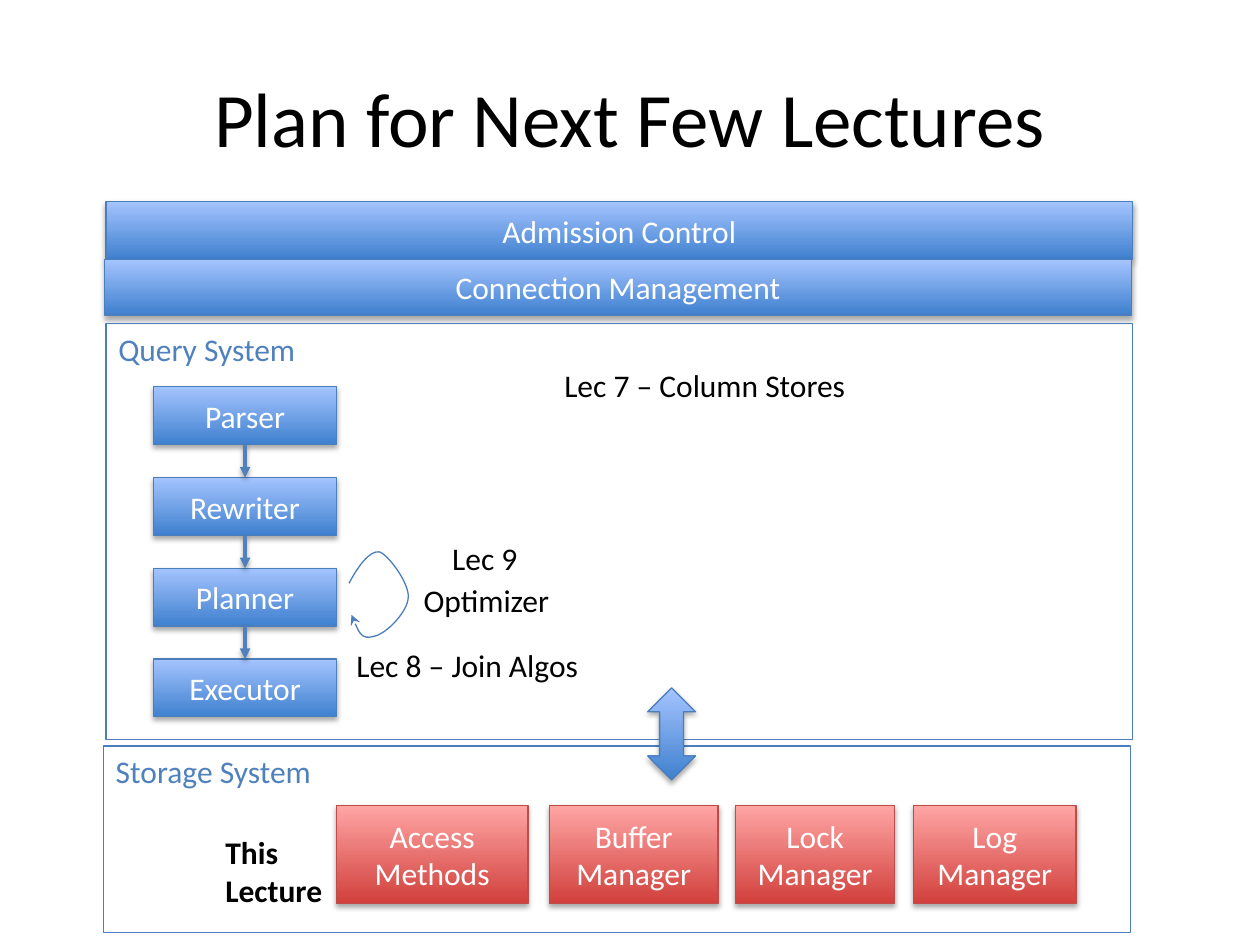
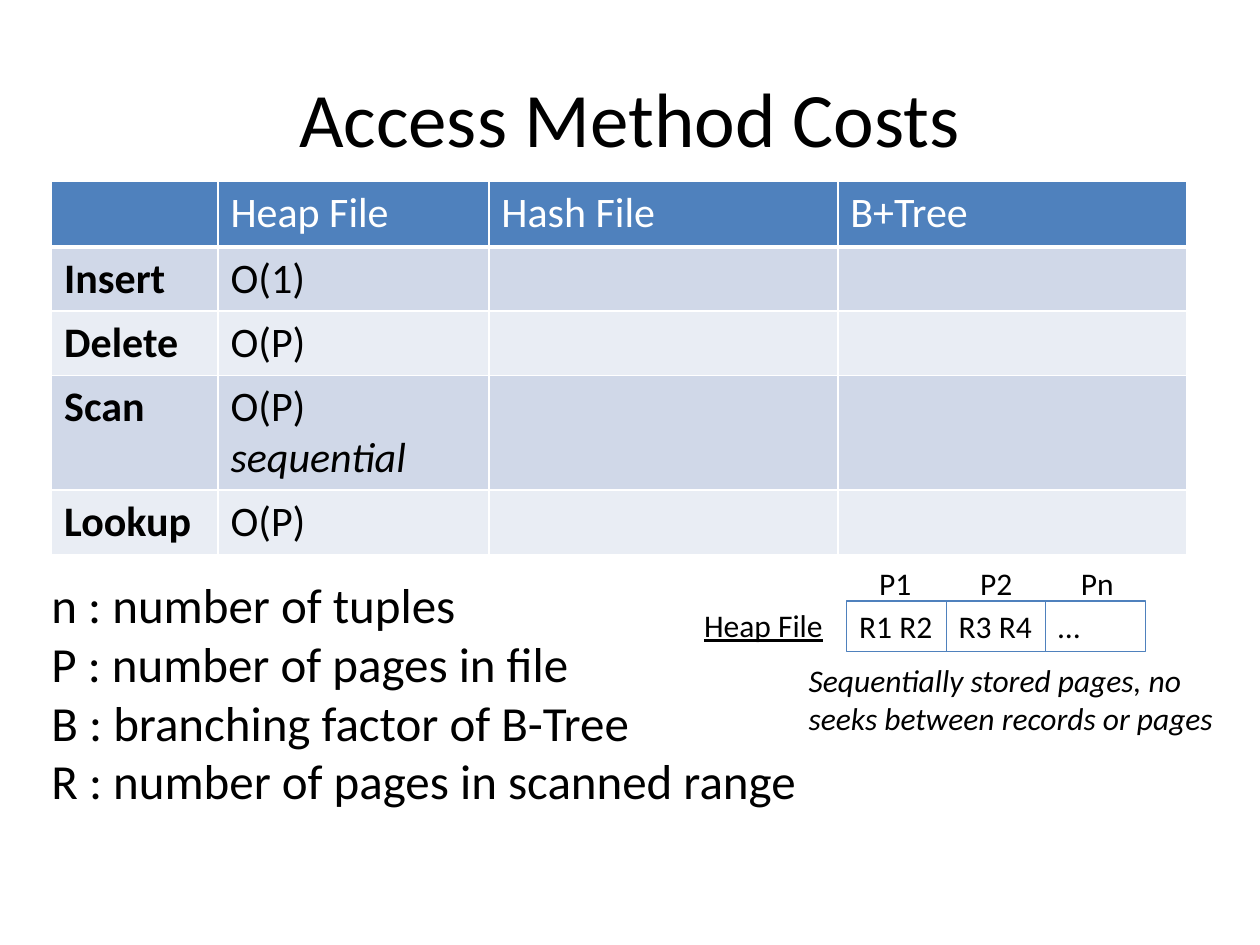
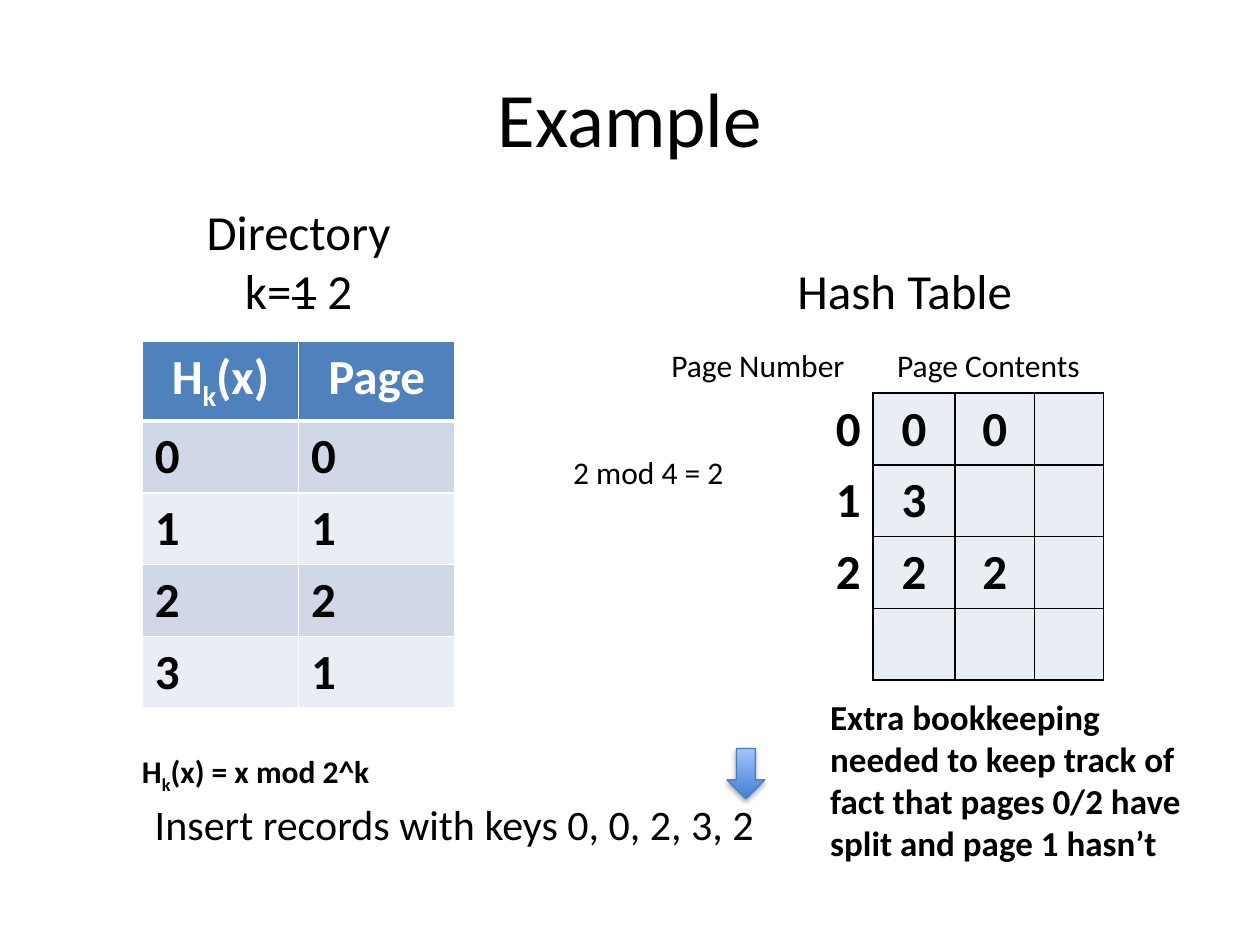
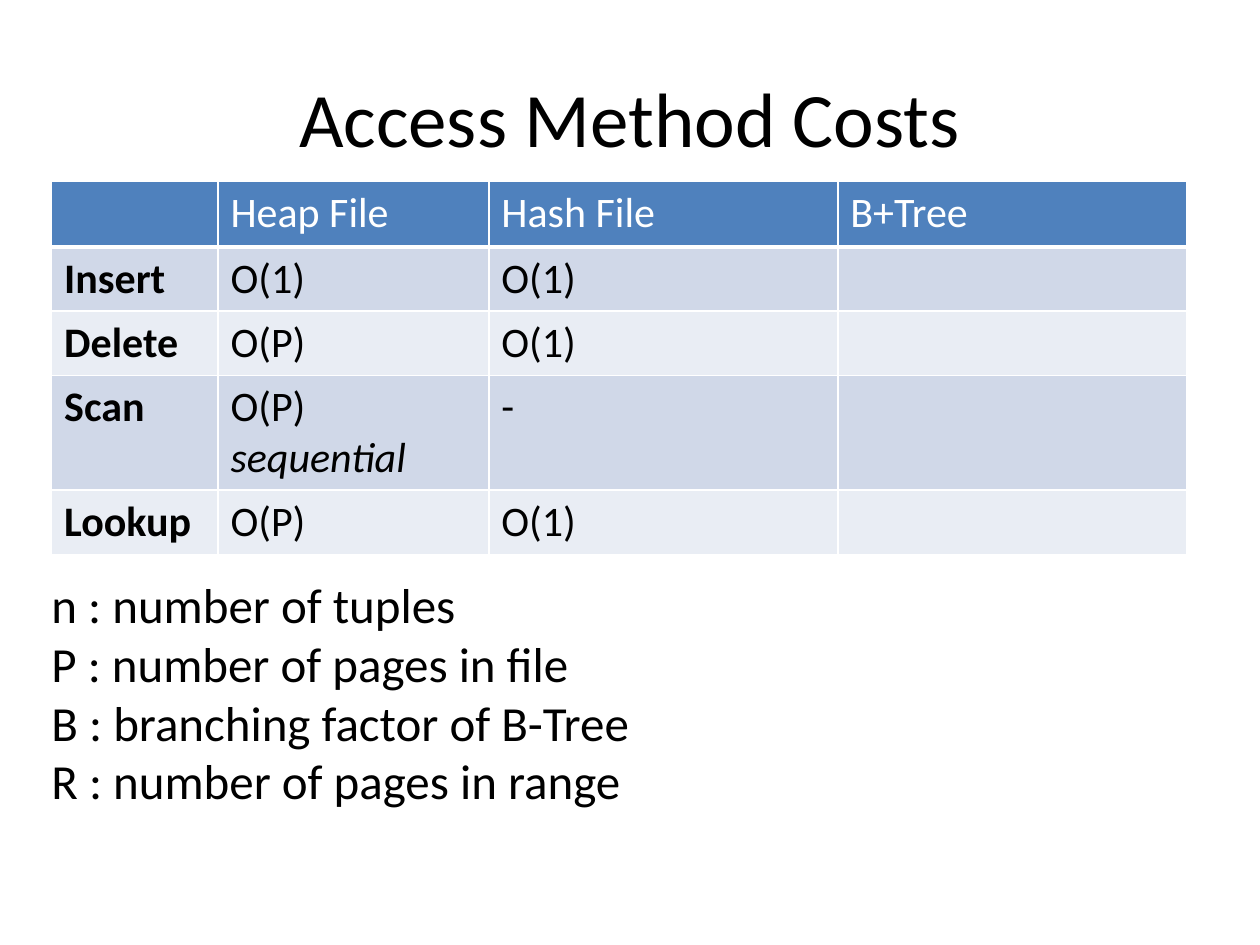
from dataclasses import dataclass, replace
from itertools import pairwise
from typing import NamedTuple, Optional, Sequence, Union

from lxml import etree
from pptx import Presentation
from pptx import util as u
from pptx.dml.color import RGBColor
from pptx.enum import shapes, text
from pptx.oxml.ns import qn

FONT = "Calibri"
COLORS = {
    "black": "000000",
    "white": "FFFFFF",
    "accent": "4F81BD",
    "outline": "4B7EBC",
    "band_dark": "D0D8E8",
    "band_light": "E9EDF4",
}
LEFT, CENTER, RIGHT = text.PP_ALIGN.LEFT, text.PP_ALIGN.CENTER, text.PP_ALIGN.RIGHT
TOP, MIDDLE = text.MSO_ANCHOR.TOP, text.MSO_ANCHOR.MIDDLE
RECTANGLE = shapes.MSO_SHAPE.RECTANGLE


class Run(NamedTuple):
    text: str
    italic: bool = False
    strike: bool = False
    subscript: bool = False


Line = Union[str, Sequence[Run]]


class Area(NamedTuple):
    left: float
    top: float
    width: float
    height: float

    def emu(self) -> list[int]:
        return [u.Inches(length) for length in self]


class Gradient(NamedTuple):
    bottom: str
    top: str
    outline: str


@dataclass(frozen=True)
class TextStyle:
    size: int = 18
    color: str = COLORS["black"]
    bold: bool = False
    italic: bool = False
    underline: bool = False
    align: text.PP_ALIGN = LEFT
    anchor: text.MSO_ANCHOR = TOP


@dataclass(frozen=True)
class Label:
    area: Area
    lines: Sequence[Line]
    style: TextStyle = TextStyle()
    wrap: bool = True


@dataclass(frozen=True)
class Cell:
    line: Line = ""
    style: TextStyle = TextStyle()
    fill: Optional[str] = None
    border: str = COLORS["white"]
    right_border: Optional[str] = None
    bottom_border: Optional[str] = None
    bottom_width: float = 1


BLUE = Gradient("3F80CE", "A4C4FF", COLORS["outline"])
RED = Gradient("D1403C", "FFA6A5", "BF4C48")

PLAIN = TextStyle()
BOLD = TextStyle(bold=True)
CENTERED = TextStyle(align=CENTER)
LARGE = TextStyle(size=28)
LARGE_CENTERED = replace(LARGE, align=CENTER)
TITLE = TextStyle(size=44, align=CENTER, anchor=MIDDLE)
BOX_TEXT = TextStyle(color=COLORS["white"], align=CENTER, anchor=MIDDLE)
SYSTEM_TEXT = TextStyle(color=COLORS["accent"])


def rgb(color: str) -> RGBColor:
    return RGBColor.from_string(color)


def write_line(paragraph, line: Line, style: TextStyle) -> None:
    paragraph.alignment = style.align
    for part in [Run(line)] if isinstance(line, str) else line:
        if not part.text:
            continue
        run = paragraph.add_run()
        run.text = part.text
        font = run.font
        font.name, font.size = FONT, u.Pt(style.size)
        font.bold, font.italic = style.bold, style.italic or part.italic
        font.underline = style.underline
        font.color.rgb = rgb(style.color)
        properties = run._r.get_or_add_rPr()
        if part.strike:
            properties.set("strike", "sngStrike")
        if part.subscript:
            properties.set("baseline", "-25000")


def write_frame(frame, lines: Sequence[Line], style: TextStyle, wrap: bool = True) -> None:
    frame.word_wrap = wrap
    frame.vertical_anchor = style.anchor
    for index, line in enumerate(lines):
        paragraph = frame.add_paragraph() if index else frame.paragraphs[0]
        write_line(paragraph, line, style)


def add_label(slide, label: Label) -> None:
    box = slide.shapes.add_textbox(*label.area.emu())
    write_frame(box.text_frame, label.lines, label.style, label.wrap)


def add_titled_slide(presentation, title: str):
    slide = presentation.slides.add_slide(presentation.slide_layouts[6])
    add_label(slide, Label(Area(0.5, 0.3, 9, 1.25), [title], TITLE))
    return slide


def add_shadow(shape, opacity: int, distance: float) -> None:
    """Cast a soft shadow straight down."""
    properties = shape._element.spPr
    effects = properties.find(qn("a:effectLst"))
    if effects is None:
        effects = etree.SubElement(properties, qn("a:effectLst"))
    shadow = etree.SubElement(
        effects, qn("a:outerShdw"), blurRad=str(u.Pt(3.1)), dist=str(u.Pt(distance)),
        dir="5400000", rotWithShape="0")
    color = etree.SubElement(shadow, qn("a:srgbClr"), val=COLORS["black"])
    etree.SubElement(color, qn("a:alpha"), val=str(opacity * 1000))


def add_arrowhead(shape, kind: str) -> None:
    etree.SubElement(shape.line._get_or_add_ln(), qn("a:tailEnd"), type=kind)


def add_gradient_shape(slide, area: Area, gradient: Gradient, caption: str = "",
                       preset: shapes.MSO_SHAPE = RECTANGLE):
    shape = slide.shapes.add_shape(preset, *area.emu())
    shape.fill.gradient()
    shape.fill.gradient_angle = 90
    for stop, color in zip(shape.fill.gradient_stops, (gradient.bottom, gradient.top)):
        stop.color.rgb = rgb(color)
    shape.line.color.rgb = rgb(gradient.outline)
    shape.line.width = u.Pt(0.75)
    shape.shadow.inherit = False
    add_shadow(shape, 35, 1.8)
    write_frame(shape.text_frame, [caption], BOX_TEXT)
    return shape


def style_outline(shape, color: str) -> None:
    shape.fill.background()
    shape.line.color.rgb = rgb(color)
    shape.line.width = u.Pt(0.75)
    shape.shadow.inherit = False


def add_outlined_box(slide, area: Area, caption: str, style: TextStyle, color: str) -> None:
    shape = slide.shapes.add_shape(RECTANGLE, *area.emu())
    style_outline(shape, color)
    write_frame(shape.text_frame, [caption], style)


def connect_down(slide, upper, lower) -> None:
    connector = slide.shapes.add_connector(shapes.MSO_CONNECTOR.STRAIGHT, 0, 0, 0, 0)
    connector.begin_connect(upper, 2)
    connector.end_connect(lower, 0)
    connector.line.color.rgb = rgb(COLORS["accent"])
    connector.line.width = u.Pt(2)
    add_arrowhead(connector, "triangle")
    add_shadow(connector, 38, 1.6)


def add_planner_loop(slide) -> None:
    """Draw the curved arrow beside the planner, in hundredths of an inch."""
    left, top = 277, 438
    anchors = [(277, 463), (301, 438), (324, 474), (297, 505), (279, 488)]
    controls = [((284, 450), (293, 437)), ((308, 440), (325, 463)),
                ((324, 485), (307, 503)), ((287, 508), (283, 498))]
    builder = slide.shapes.build_freeform(*anchors[0], scale=u.Inches(0.01))
    builder.add_line_segments(anchors[1:], close=False)
    loop = builder.convert_to_shape()
    for segment, handles in zip(loop._element.xpath(".//a:lnTo"), controls):
        segment.tag = qn("a:cubicBezTo")
        for index, (x, y) in enumerate(handles):
            point = etree.Element(qn("a:pt"), x=str(x - left), y=str(y - top))
            segment.insert(index, point)
    style_outline(loop, COLORS["outline"])
    add_arrowhead(loop, "stealth")


def set_borders(table_cell, cell: Cell) -> None:
    borders = [
        ("a:lnL", cell.border, 1),
        ("a:lnR", cell.right_border or cell.border, 1),
        ("a:lnT", cell.border, 1),
        ("a:lnB", cell.bottom_border or cell.border, cell.bottom_width),
    ]
    properties = table_cell._tc.get_or_add_tcPr()
    for index, (tag, color, width) in enumerate(borders):
        line = etree.Element(qn(tag), w=str(u.Pt(width)))
        fill = etree.SubElement(line, qn("a:solidFill"))
        etree.SubElement(fill, qn("a:srgbClr"), val=color)
        properties.insert(index, line)


def add_table(slide, left: float, top: float, widths: Sequence[float],
              heights: Sequence[float], rows: Sequence[Sequence[Cell]]):
    area = Area(left, top, sum(widths), sum(heights))
    table = slide.shapes.add_table(len(rows), len(widths), *area.emu()).table
    table.first_row = table.horz_banding = False
    for column, width in zip(table.columns, widths):
        column.width = u.Inches(width)
    for row_index, (cells, height) in enumerate(zip(rows, heights)):
        table.rows[row_index].height = u.Inches(height)
        for column_index, cell in enumerate(cells):
            table_cell = table.cell(row_index, column_index)
            if cell.fill:
                table_cell.fill.solid()
                table_cell.fill.fore_color.rgb = rgb(cell.fill)
            else:
                table_cell.fill.background()
            set_borders(table_cell, cell)
            write_line(table_cell.text_frame.paragraphs[0], cell.line, cell.style)
    return table


def header_row(lines: Sequence[Line], style: TextStyle) -> list[Cell]:
    style = replace(style, color=COLORS["white"])
    return [Cell(line, style, COLORS["accent"], bottom_width=3) for line in lines]


def band_color(row_index: int) -> str:
    return COLORS["band_light" if row_index % 2 else "band_dark"]


def add_plan_slide(presentation) -> None:
    slide = add_titled_slide(presentation, "Plan for Next Few Lectures")
    add_gradient_shape(slide, Area(0.84, 1.6, 8.15, 0.46), BLUE, "Admission Control")
    add_gradient_shape(slide, Area(0.83, 2.06, 8.15, 0.44), BLUE, "Connection Management")
    for area, system in [(Area(0.84, 2.57, 8.15, 3.3), "Query System"),
                         (Area(0.82, 5.92, 8.15, 1.48), "Storage System")]:
        add_outlined_box(slide, area, system, SYSTEM_TEXT, COLORS["outline"])

    stages = [
        add_gradient_shape(slide, Area(1.22, 3.07 + 0.72 * index, 1.45, 0.46), BLUE, stage)
        for index, stage in enumerate(["Parser", "Rewriter", "Planner", "Executor"])
    ]
    for upper, lower in pairwise(stages):
        connect_down(slide, upper, lower)
    add_planner_loop(slide)

    for left, width, component in [(2.67, 1.52, "Access Methods"),
                                   (4.36, 1.34, "Buffer Manager"),
                                   (5.84, 1.26, "Lock Manager"),
                                   (7.25, 1.29, "Log Manager")]:
        add_gradient_shape(slide, Area(left, 6.39, width, 0.78), RED, component)
    add_gradient_shape(slide, Area(5.14, 5.46, 0.38, 0.73), BLUE,
                       preset=shapes.MSO_SHAPE.UP_DOWN_ARROW)

    for label in [
        Label(Area(3.22, 4.56, 1.28, 0.4), ["Optimizer"], CENTERED, wrap=False),
        Label(Area(1.69, 6.56, 0.98, 0.71), ["This Lecture"], BOLD),
        Label(Area(3.49, 4.23, 0.98, 0.4), ["Lec 9"]),
        Label(Area(4.38, 2.86, 3.01, 0.4), ["Lec 7 – Column Stores"]),
        Label(Area(2.73, 5.08, 2.25, 0.4), ["Lec 8 – Join Algos"], wrap=False),
    ]:
        add_label(slide, label)


def add_costs_slide(presentation, hash_costs: Sequence[str], range_meaning: str):
    slide = add_titled_slide(presentation, "Access Method Costs")
    style = TextStyle(size=24)
    operations = ["Insert", "Delete", "Scan", "Lookup"]
    heap_costs = ["O(1)", "O(P)", [Run("O(P) "), Run("sequential", italic=True)], "O(P)"]
    rows = [header_row(["", "Heap File", "Hash File", "B+Tree"], style)]
    for index, (operation, *costs) in enumerate(zip(operations, heap_costs, hash_costs)):
        fill = band_color(index)
        rows.append([Cell(operation, replace(style, bold=True), fill)]
                    + [Cell(cost, style, fill) for cost in [*costs, ""]])
    add_table(slide, 0.41, 1.44, [1.32, 2.15, 2.77, 2.77],
              [0.52, 0.51, 0.51, 0.91, 0.51], rows)
    add_label(slide, Label(Area(0.31, 4.51, 6.42, 1.99), [
        "n : number of tuples",
        "P : number of pages in file",
        "B : branching factor of B-Tree",
        f"R : {range_meaning}",
    ], LARGE))
    return slide


def add_heap_file_diagram(slide) -> None:
    for index, records in enumerate(["R1 R2", "R3 R4", "…"]):
        area = Area(6.72 + 0.79 * index, 4.77, 0.79, 0.4)
        add_outlined_box(slide, area, records, PLAIN, COLORS["accent"])
    for index, page in enumerate(["P1", "P2", "Pn"]):
        add_label(slide, Label(Area(6.88 + 0.8 * index, 4.43, 0.56, 0.4), [page]))
    add_label(slide, Label(Area(5.49, 4.76, 1.24, 0.4), ["Heap File"],
                           TextStyle(underline=True)))
    add_label(slide, Label(Area(6.32, 5.2, 3.67, 0.71),
                           ["Sequentially stored pages, no seeks between records or pages"],
                           TextStyle(italic=True)))


def add_directory(slide, hash_name: Sequence[Run]) -> None:
    style = replace(LARGE, bold=True)
    rows = [header_row([hash_name, "Page"], replace(style, align=CENTER))]
    for index, page in enumerate("0121"):
        rows.append([Cell(value, style, band_color(index)) for value in (str(index), page)])
    add_table(slide, 1.13, 2.71, [1.24, 1.24], [0.63] + [0.57] * 4, rows)


def add_hash_table(slide) -> None:
    black = COLORS["black"]
    number = replace(LARGE, bold=True, align=RIGHT)
    value = replace(number, align=CENTER)
    contents = Cell("Page Contents", CENTERED, COLORS["white"], bottom_border=black)
    rows = [[Cell("Page Number", CENTERED), contents] + [replace(contents, line="")] * 2]
    for page, *records in [("0", "0", "0", ""), ("1", "3", "", ""),
                           ("2", "2", "2", ""), ("", "", "", "")]:
        rows.append([Cell(page, number, right_border=black)]
                    + [Cell(record, value, COLORS["band_light"], black)
                       for record in records])
    table = add_table(slide, 5.1, 2.71, [1.83, 0.65, 0.63, 0.55],
                      [0.41] + [0.57] * 4, rows)
    table.cell(0, 1).merge(table.cell(0, 3))


def add_example_slide(presentation) -> None:
    slide = add_titled_slide(presentation, "Example")
    hash_name = [Run("H"), Run("k", subscript=True), Run("(x)")]
    add_directory(slide, hash_name)
    add_hash_table(slide)
    for label in [
        Label(Area(1.13, 1.55, 2.48, 1.04),
              ["Directory", [Run("k="), Run("1", strike=True), Run(" 2")]], LARGE_CENTERED),
        Label(Area(5.94, 2.02, 2.48, 0.57), ["Hash Table"], LARGE_CENTERED),
        Label(Area(1.13, 6.29, 6.14, 0.5), ["Insert records with keys 0, 0, 2, 3, 2"],
              TextStyle(size=24)),
        Label(Area(1.01, 5.92, 2.04, 0.4), [[*hash_name[:2], Run("(x) = x mod 2^k")]],
              replace(BOLD, align=CENTER), wrap=False),
        Label(Area(4.45, 3.55, 1.41, 0.4), ["2 mod 4 = 2"], wrap=False),
        Label(Area(6.49, 5.47, 3.15, 1.45),
              ["Extra bookkeeping needed to keep track of fact that pages 0/2 "
               "have split and page 1 hasn’t"], replace(BOLD, size=20)),
    ]:
        add_label(slide, label)
    add_gradient_shape(slide, Area(5.77, 5.94, 0.3, 0.4), BLUE,
                       preset=shapes.MSO_SHAPE.DOWN_ARROW)


def main() -> None:
    presentation = Presentation()
    presentation.slide_width, presentation.slide_height = u.Inches(10), u.Inches(7.5)
    add_plan_slide(presentation)
    heap_slide = add_costs_slide(presentation, [""] * 4, "number of pages in scanned range")
    add_heap_file_diagram(heap_slide)
    add_example_slide(presentation)
    add_costs_slide(presentation, ["O(1)", "O(1)", "-", "O(1)"], "number of pages in range")
    presentation.save("out.pptx")


if __name__ == "__main__":
    main()
